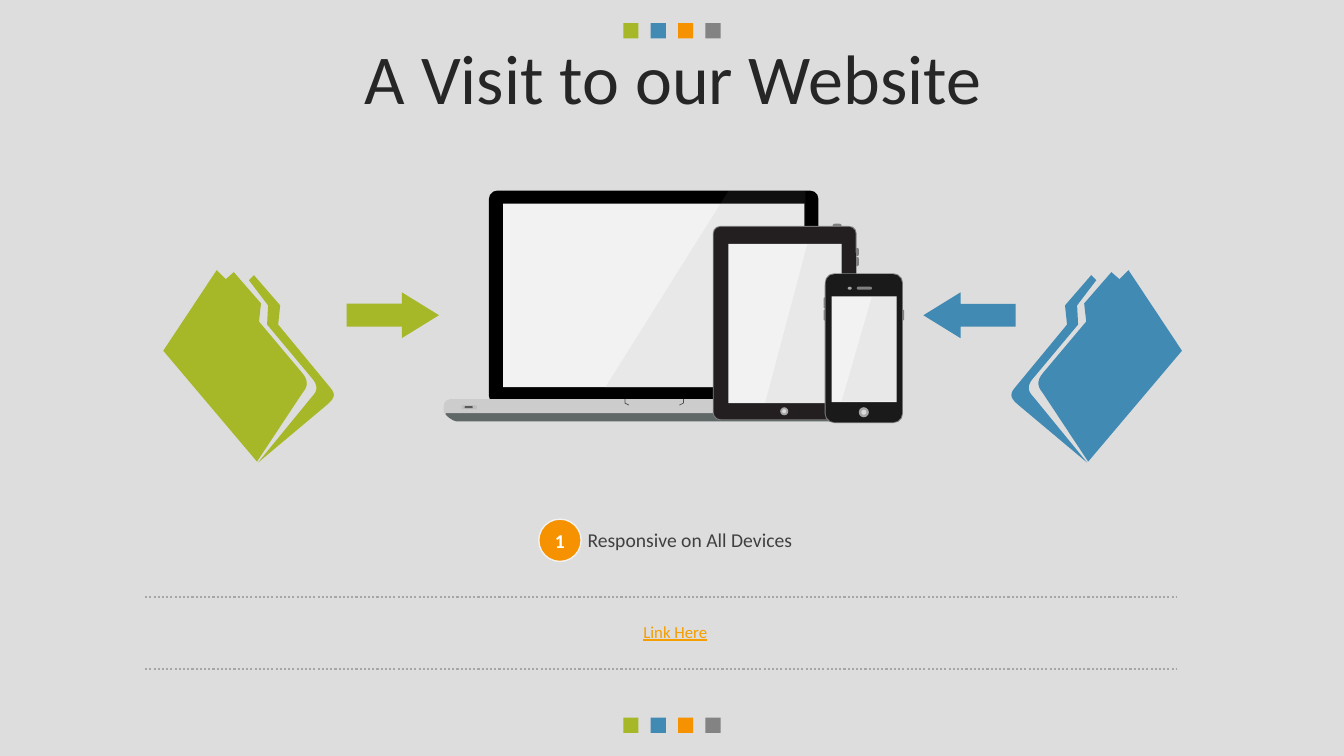
from lxml import etree
from pptx import Presentation
from pptx.dml.color import RGBColor
from pptx.enum.dml import MSO_LINE
from pptx.enum.shapes import MSO_CONNECTOR, MSO_SHAPE
from pptx.enum.text import MSO_ANCHOR, PP_ALIGN
from pptx.oxml.ns import qn
from pptx.util import Inches, Pt

RECT, OVAL = MSO_SHAPE.RECTANGLE, MSO_SHAPE.OVAL
ROUND, TWO_ROUND = MSO_SHAPE.ROUNDED_RECTANGLE, MSO_SHAPE.ROUND_2_SAME_RECTANGLE
ARROW = MSO_SHAPE.RIGHT_ARROW
STRAIGHT, DOTTED = MSO_CONNECTOR.STRAIGHT, MSO_LINE.ROUND_DOT
MIDDLE, LEFT, CENTER = MSO_ANCHOR.MIDDLE, PP_ALIGN.LEFT, PP_ALIGN.CENTER

CELL = Inches(0.1)
COLUMNS, ROWS = 133.33, 75
MIRROR_COLUMN = 66.73
GREEN, BLUE, ORANGE, GREY = "A6B727", "418AB3", "F69200", "838383"
BUTTON, SCREEN, GLARE = "808080", "F2F2F2", "999999"

FOLDER_FRONT = [
    (23.2, 27), (25.9, 30.1), (25.7, 31.9), (29.9, 36.9),
    (30.8, 37.9, 30.4, 38.5, 30, 39), (25.5, 45.8), (16.2, 34.8),
    (21.5, 26.8), (22.4, 27.7),
]
FOLDER_BACK = [
    (25.2, 27.3), (27.8, 30.3), (27.6, 32.2), (32.8, 38.5),
    (33.4, 39.2, 33.1, 39.6, 32.4, 40.2), (25.6, 45.9), (31, 39.3),
    (31.4, 38.9, 31.6, 38.4, 31.1, 37.7), (26.5, 32.2), (26.6, 30.3),
    (24.7, 27.8),
]
LAPTOP_UNDERSIDE = [
    (44.2, 40.6), (44.2, 41.1), (44.5, 41.5, 45.1, 41.8, 45.3, 41.8),
    (84.3, 41.8), (84.5, 41.8, 85.2, 41.7, 85.5, 41), (85.5, 40.6),
]


def cells(*values):
    """Turn grid cells into slide lengths."""
    return [round(value * CELL) for value in values]


def rgb(color):
    """Turn a hex string into a colour."""
    return RGBColor.from_string(color)


def paint(shape, color):
    """Give a shape a flat fill without line or shadow."""
    shape.shadow.inherit = False
    shape.fill.solid()
    shape.fill.fore_color.rgb = rgb(color)
    shape.line.fill.background()


def add_block(page, kind, area, color, adjustments=()):
    """Add a filled preset shape."""
    block = page.shapes.add_shape(kind, *cells(*area))
    for index, value in enumerate(adjustments):
        block.adjustments[index] = value
    paint(block, color)
    return block


def flatten(steps, count=8):
    """Turn corners and cubic curves into a list of points."""
    points = [steps[0]]
    for step in steps[1:]:
        if len(step) == 2:
            points.append(step)
            continue
        anchors = [points[-1], step[:2], step[2:4], step[4:]]
        for number in range(1, count + 1):
            t = number / count
            weights = [(1 - t) ** 3, 3 * t * (1 - t) ** 2, 3 * t * t * (1 - t), t ** 3]
            points.append(tuple(
                sum(weight * anchor[axis] for weight, anchor in zip(weights, anchors))
                for axis in (0, 1)))
    return points


def add_outline(page, contours, color, close=True):
    """Add a freeform made of one or more contours."""
    paths = [[cells(*point) for point in flatten(steps)] for steps in contours]
    builder = page.shapes.build_freeform(*paths[0][0])
    for index, path in enumerate(paths):
        if index:
            builder.move_to(*path[0])
        builder.add_line_segments(path[1:], close=close)
    outline = builder.convert_to_shape()
    paint(outline, color)
    return outline


def add_glare(page, corners):
    """Add a nearly transparent reflection."""
    glare = add_outline(page, [corners], GLARE)
    tint = glare._element.spPr.find(".//" + qn("a:srgbClr"))
    etree.SubElement(tint, qn("a:alpha"), val="10000")


def write(box, text, size, color, align=CENTER, spacing=1.0):
    """Set the single line of a box and return its font."""
    frame = box.text_frame
    frame.word_wrap = True
    frame.vertical_anchor = MIDDLE
    frame.text = text
    para = frame.paragraphs[0]
    para.alignment = align
    para.line_spacing = spacing
    font = para.runs[0].font
    font.name, font.size, font.color.rgb = "Calibri", Pt(size), rgb(color)
    return font


def add_label(page, area, *content):
    """Add a text box with one line."""
    return write(page.shapes.add_textbox(*cells(*area)), *content)


def add_divider(page, row):
    """Add a dotted line across the page."""
    divider = page.shapes.add_connector(STRAIGHT, *cells(14.4, row, 116.7, row))
    divider.line.color.rgb = rgb("A6A6A6")
    divider.line.width = Pt(1.5)
    divider.line.dash_style = DOTTED
    etree.SubElement(divider._element.spPr, qn("a:effectLst"))


def add_squares(page, row):
    """Add the row of four accent squares."""
    for index, color in enumerate((GREEN, BLUE, ORANGE, GREY)):
        add_block(page, RECT, (61.83 + 2.72 * index, row, 1.5, 1.5), color)


def add_laptop(page):
    """Draw the laptop."""
    add_outline(page, [LAPTOP_UNDERSIDE], "5F6767")
    add_block(page, ROUND, (48.5, 18.9, 32.7, 21.2), "000000", (0.04,))
    add_block(page, RECT, (49.9, 20.2, 29.9, 18.2), SCREEN)
    add_block(page, TWO_ROUND, (44, 39.6, 41.8, 1.4), "CCCCCC", (0.5, 0))
    hooks = [[(edge, 39.6), (edge, 40), (edge + turn, 40.2)]
             for edge, turn in ((62, 0.4), (67.8, -0.4))]
    notch = add_outline(page, hooks, "4D4D4D", close=False)
    notch.fill.background()
    notch.line.color.rgb = rgb("4D4D4D")
    notch.line.width = Pt(0.5)
    add_block(page, ROUND, (45.8, 40.2, 1.5, 0.4), "BFBFBF", (0.28,))
    add_block(page, ROUND, (46.1, 40.3, 0.8, 0.2), "595959", (0.28,))
    add_glare(page, [(72.3, 18.9), (79.9, 18.9), (79.8, 38.5), (60, 38.5)])


def add_handheld(page, body, color, corner, buttons, screen, glare, home):
    """Draw a tablet or phone with its buttons, screen and home key."""
    for button in buttons:
        add_block(page, ROUND, button, BUTTON, (0.5,))
    left, top, width, height = body
    rim = (left - 0.08, top - 0.08, width + 0.16, height + 0.16)
    add_block(page, ROUND, rim, BUTTON, (corner,))
    add_block(page, ROUND, body, color, (corner,))
    add_block(page, RECT, screen, SCREEN)
    add_glare(page, glare)
    column, row, size = home
    add_block(page, OVAL, (column - size / 2, row - size / 2, size, size), "A6A6A6")
    add_block(page, OVAL, (column - size / 4, row - size / 4, size / 2, size / 2), "D9D9D9")


def add_devices(page):
    """Draw the laptop, tablet and phone."""
    add_laptop(page)
    add_handheld(
        page, (70.8, 22.5, 14.1, 19.1), "231F20", 0.05,
        [(82.6, 22.2, 0.9, 0.4), (84.9, 25.5, 0.3, 0.9), (84.9, 24.6, 0.3, 0.8)],
        (72.25, 24.2, 11.25, 15.8),
        [(80.1, 24.2), (83.5, 24.2), (83.5, 40), (75.9, 40)], (77.8, 40.8, 0.8))
    add_handheld(
        page, (81.9, 27.2, 7.6, 14.7), "1A1A1A", 0.12,
        [(81.7, 29.5, 0.3, 1.1), (81.7, 30.7, 0.3, 1.1), (89.4, 30.7, 0.3, 1.1)],
        (82.5, 29.4, 6.45, 10.5),
        [(86.5, 29.4), (89, 29.4), (89, 39.8), (83.5, 39.8)], (85.7, 40.9, 1))
    add_block(page, ROUND, (85, 28.45, 1.5, 0.3), BUTTON, (0.5,))
    add_block(page, OVAL, (84.1, 28.45, 0.4, 0.3), "A6A6A6")


def add_folders(page):
    """Draw the two mirrored folders and the arrows beside them."""
    contours = [FOLDER_FRONT, FOLDER_BACK]
    mirrored = [[tuple(2 * MIRROR_COLUMN - value if index % 2 == 0 else value
                       for index, value in enumerate(step)) for step in steps]
                for steps in contours]
    for shape, color, column, turn in ((contours, GREEN, 34.4, 0), (mirrored, BLUE, 91.6, 180)):
        add_outline(page, shape, color)
        add_block(page, ARROW, (column, 29, 9.15, 4.55), color, (0.5, 0.81)).rotation = turn


def main():
    """Build the slide and save it."""
    deck = Presentation()
    deck.slide_width, deck.slide_height = cells(COLUMNS, ROWS)
    page = deck.slides.add_slide(deck.slide_layouts[6])
    page.background.fill.solid()
    page.background.fill.fore_color.rgb = rgb("DDDDDD")
    for row in (2.3, 71.2):
        add_squares(page, row)
    add_label(page, (3.5, 4.4, 126.6, 7.9), "A Visit to our Website", 50, "262626", CENTER, 0.8)
    add_devices(page)
    add_folders(page)
    badge = add_block(page, OVAL, (53.45, 51.5, 4.2, 4.2), ORANGE)
    badge.line.color.rgb = rgb("F2F2F2")
    badge.line.width = Pt(1)
    write(badge, "1", 14, "FFFFFF").bold = True
    add_label(page, (57.3, 51.7, 23.2, 3.9), "Responsive on All Devices", 14, "404040", LEFT, 0.9)
    for row in (59.2, 66.35):
        add_divider(page, row)
    link = add_label(page, (14.35, 60.1, 105.3, 5.4), "Link Here", 12, "F59E00", CENTER, 0.9)
    link.underline = True
    deck.save("out.pptx")


if __name__ == "__main__":
    main()
